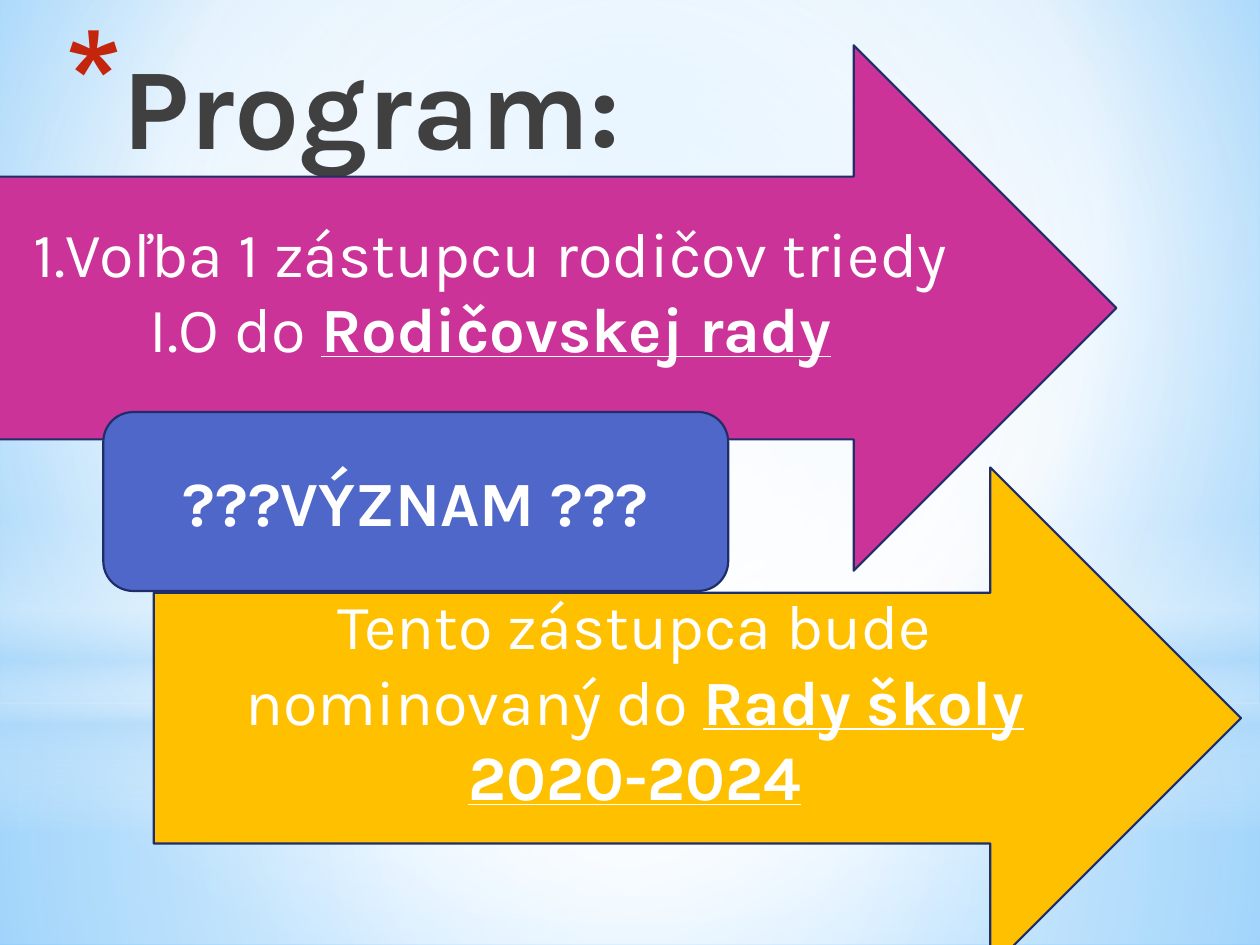
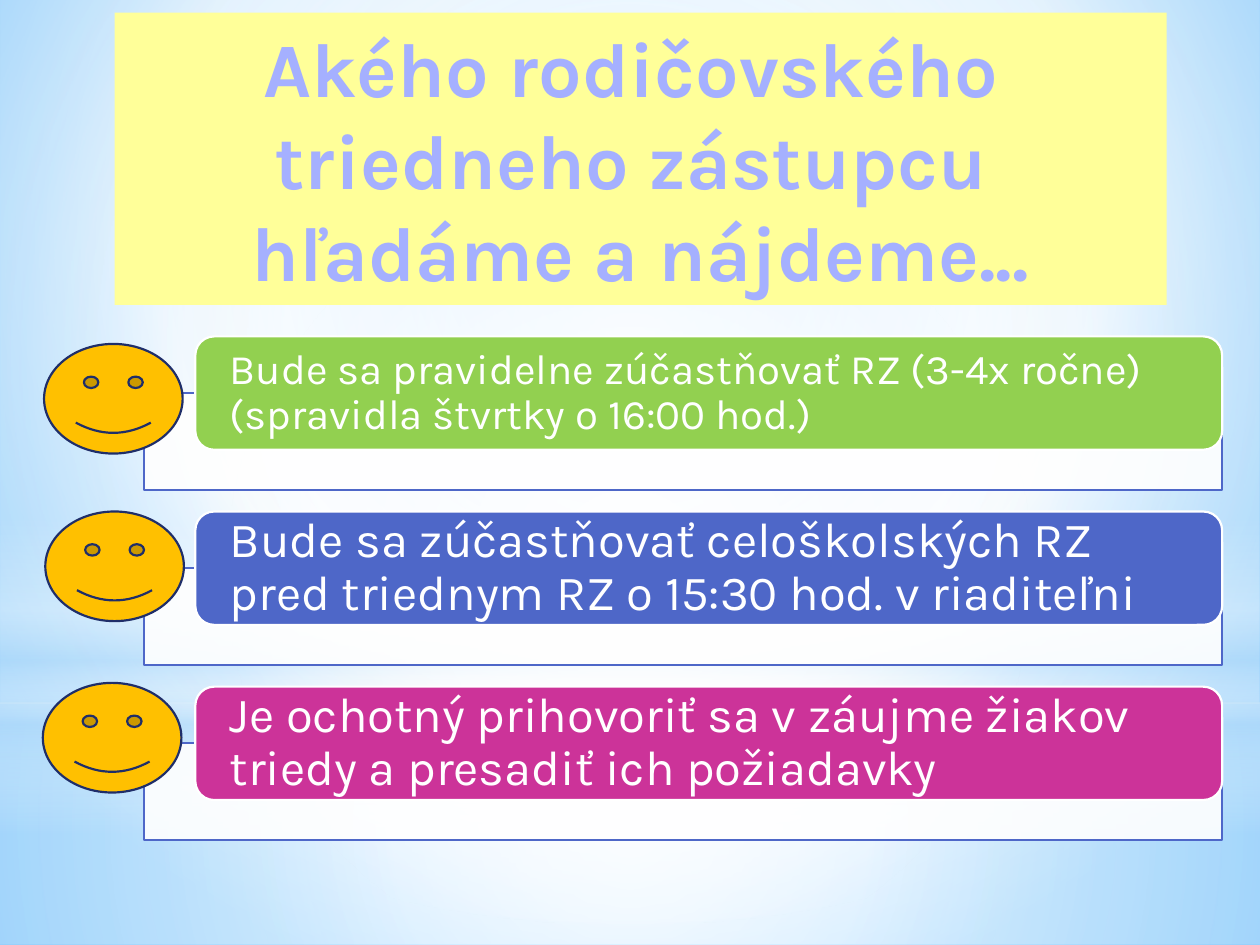
"""Builds two slides on choosing a class parent representative."""
from lxml import etree
from pptx import Presentation
from pptx.dml.color import RGBColor
from pptx.enum.shapes import MSO_SHAPE
from pptx.enum.text import MSO_ANCHOR, MSO_AUTO_SIZE, PP_ALIGN
from pptx.oxml.ns import nsdecls, qn
from pptx.util import Inches, Pt

RECT, OVAL = MSO_SHAPE.RECTANGLE, MSO_SHAPE.OVAL
ROUND, ARROW = MSO_SHAPE.ROUNDED_RECTANGLE, MSO_SHAPE.RIGHT_ARROW
SMILE = MSO_SHAPE.SMILEY_FACE
LEFT, CENTER, RIGHT = PP_ALIGN.LEFT, PP_ALIGN.CENTER, PP_ALIGN.RIGHT
MIDDLE, BOTTOM = MSO_ANCHOR.MIDDLE, MSO_ANCHOR.BOTTOM
NO_FIT = MSO_AUTO_SIZE.NONE

FONT = "Karla"
WHITE = RGBColor(0xFF, 0xFF, 0xFF)
NAVY = RGBColor(0x1F, 0x2E, 0x69)
BLUE = RGBColor(0x4E, 0x67, 0xC8)
PINK = RGBColor(0xCC, 0x33, 0x99)
GOLD = RGBColor(0xFF, 0xC0, 0x00)
GREEN = RGBColor(0x92, 0xD0, 0x50)
CREAM = RGBColor(0xFF, 0xFF, 0x99)
LILAC = RGBColor(0xA5, 0xB0, 0xFF)
GRAY = RGBColor(0x40, 0x40, 0x40)


def blend(parent, stops, rect):
    """Put a gradient in place of the empty fill; no rect means top to bottom."""
    marks = "".join(
        f'<a:gs pos="{pos * 1000}"><a:srgbClr val="{tone}">'
        f'<a:alpha val="{alpha * 1000}"/></a:srgbClr></a:gs>'
        for pos, tone, alpha in stops)
    if rect:
        sides = " ".join(f'{side}="{part * 1000}"' for side, part in zip("ltrb", rect))
        way = f'<a:path path="circle"><a:fillToRect {sides}/></a:path>'
    else:
        way = '<a:lin ang="5400000" scaled="0"/>'
    fill = etree.fromstring(f'<a:gradFill {nsdecls("a")} rotWithShape="1">'
                            f'<a:gsLst>{marks}</a:gsLst>{way}</a:gradFill>')
    parent.replace(parent.find(qn("a:noFill")), fill)


def block(slide, kind, box, fill=None, line=None):
    """Add a preset shape with its fill and line."""
    shape = slide.shapes.add_shape(kind, *map(Inches, box))
    shape.shadow.inherit = False
    if fill is None:
        shape.fill.background()
    else:
        shape.fill.solid()
        shape.fill.fore_color.rgb = fill
    if line is None:
        shape.line.fill.background()
    else:
        shape.line.color.rgb = line
        shape.line.width = Pt(1.25)
    return shape


prs = Presentation()
prs.slide_width, prs.slide_height = Inches(10), Inches(7.5)
master = prs.slide_master
layout = prs.slide_layouts[5]
plan, search = [prs.slides.add_slide(layout) for _ in range(2)]

master.background.fill.background()
back = master.element.find(".//" + qn("p:bgPr"))
blend(back, [(0, "9ED5FF", 100), (60, "FFFFFF", 100), (100, "5BB9FF", 100)],
      (20, 10, 20, 60))
mid = (50, 50, 50, 50)
glows = [
    (RECT, (0, 5.58, 10, 1.92), mid,
     [(0, "FFFFFF", 91), (37, "FFFFFF", 76), (100, "B4DCFA", 79)]),
    (RECT, (0, 0, 10, 5.58), mid,
     [(0, "FFFFFF", 89), (48, "FFFFFF", 62), (100, "B4DCFA", 79)]),
    (RECT, (0, 4.12, 10, 2.5), None,
     [(0, "FFFFFF", 0), (29, "FFFFFF", 30), (45, "B4DCFA", 40),
      (55, "FFFFFF", 26), (65, "B4DCFA", 60), (100, "FFFFFF", 0)]),
    (OVAL, (0, 1.75, 10, 5.58), mid, [(0, "FFFFFF", 100), (56, "FFFFFF", 0)]),
]
tree = master.shapes.element
for spot, (kind, box, rect, stops) in enumerate(glows):
    glow = block(plan, kind, box)
    blend(glow.element.spPr, stops, rect)
    glow.element.nvSpPr.cNvPr.set("id", str(100 + spot))
    tree.insert(2 + spot, glow.element)

heads = [
    (plan, (-2.09, 0.17, 7.12, 1.25), ["Program:"], 66, GRAY, RIGHT, BOTTOM),
    (search, (0.91, 0.1, 8.35, 2.32),
     ["Akého rodičovského ", "triedneho zástupcu ", "hľadáme a nájdeme..."],
     44, LILAC, CENTER, MIDDLE),
]
for slide, box, lines, size, tone, align, anchor in heads:
    title = slide.shapes.title
    title.left, title.top, title.width, title.height = map(Inches, box)
    frame = title.text_frame
    frame.text = "\n".join(lines)
    frame.auto_size, frame.vertical_anchor = NO_FIT, anchor
    for para in frame.paragraphs:
        para.alignment = align
        font = para.runs[0].font
        font.name, font.size, font.bold = FONT, Pt(size), True
        font.color.rgb = tone

props = plan.shapes.title.text_frame.paragraphs[0]._p.get_or_add_pPr()
props.set("marL", str(Inches(0.35)))
props.set("indent", str(Inches(-0.35)))
for tag, val in (("buClr", None), ("buSzPct", "128000"), ("buChar", None)):
    item = etree.SubElement(props, qn("a:" + tag))
    if tag == "buClr":
        etree.SubElement(item, qn("a:srgbClr")).set("val", "C3260C")
    elif tag == "buChar":
        item.set("char", "*")
    else:
        item.set("val", val)

search.shapes.title.fill.solid()
search.shapes.title.fill.fore_color.rgb = CREAM

steps = [
    (ARROW, (-0.03, 0.36, 8.89, 4.17), PINK, 0.34,
     [("1.Voľba 1 zástupcu rodičov triedy I.O do ", False, False),
      ("Rodičovskej rady", True, True)]),
    (ARROW, (1.22, 3.71, 8.63, 3.98), GOLD, 0.34,
     [("Tento zástupca bude nominovaný do ", False, False),
      ("Rady školy 2020-2024", True, True)]),
    (ROUND, (0.82, 3.27, 4.96, 1.42), BLUE, 0.05, [("???VÝZNAM ???", True, False)]),
]
for kind, box, fill, inset, parts in steps:
    frame = block(plan, kind, box, fill, NAVY).text_frame
    frame.word_wrap, frame.vertical_anchor = True, MIDDLE
    frame.margin_bottom = Inches(inset)
    para = frame.paragraphs[0]
    para.alignment = CENTER
    for text, bold, under in parts:
        run = para.add_run()
        run.text = text
        font = run.font
        font.name, font.size, font.bold, font.underline = FONT, Pt(36), bold, under
        font.color.rgb = WHITE

duties = [
    ("Bude sa pravidelne zúčastňovať RZ (3-4x ročne) (spravidla štvrtky o 16:00 hod.)",
     24, GREEN, 0.35, 2.73),
    ("Bude sa zúčastňovať celoškolských RZ pred triednym RZ o 15:30 hod. v riaditeľni",
     28, BLUE, 0.36, 4.06),
    ("Je ochotný prihovoriť sa v záujme žiakov triedy a presadiť ich požiadavky",
     28, PINK, 0.34, 5.42),
]
for row, (text, size, fill, left, top) in enumerate(duties):
    drop = row * 1.39
    tray = block(search, RECT, (1.14, 3.12 + drop, 8.56, 0.77), WHITE, BLUE)
    shade = tray.element.spPr.find(qn("a:solidFill"))[0]
    etree.SubElement(shade, qn("a:alpha")).set("val", "90000")
    card = block(search, ROUND, (1.55, 2.67 + drop, 8.15, 0.9), fill, WHITE)
    frame = card.text_frame
    frame.text = text
    frame.word_wrap, frame.vertical_anchor = True, MIDDLE
    frame.margin_left = frame.margin_right = Inches(0.23)
    frame.margin_top = frame.margin_bottom = 0
    para = frame.paragraphs[0]
    para.alignment, para.line_spacing = LEFT, 0.9
    font = para.runs[0].font
    font.name, font.size = FONT, Pt(size)
    font.color.rgb = WHITE
    block(search, SMILE, (left, top, 1.1, 0.87), GOLD, NAVY)

prs.save("out.pptx")
